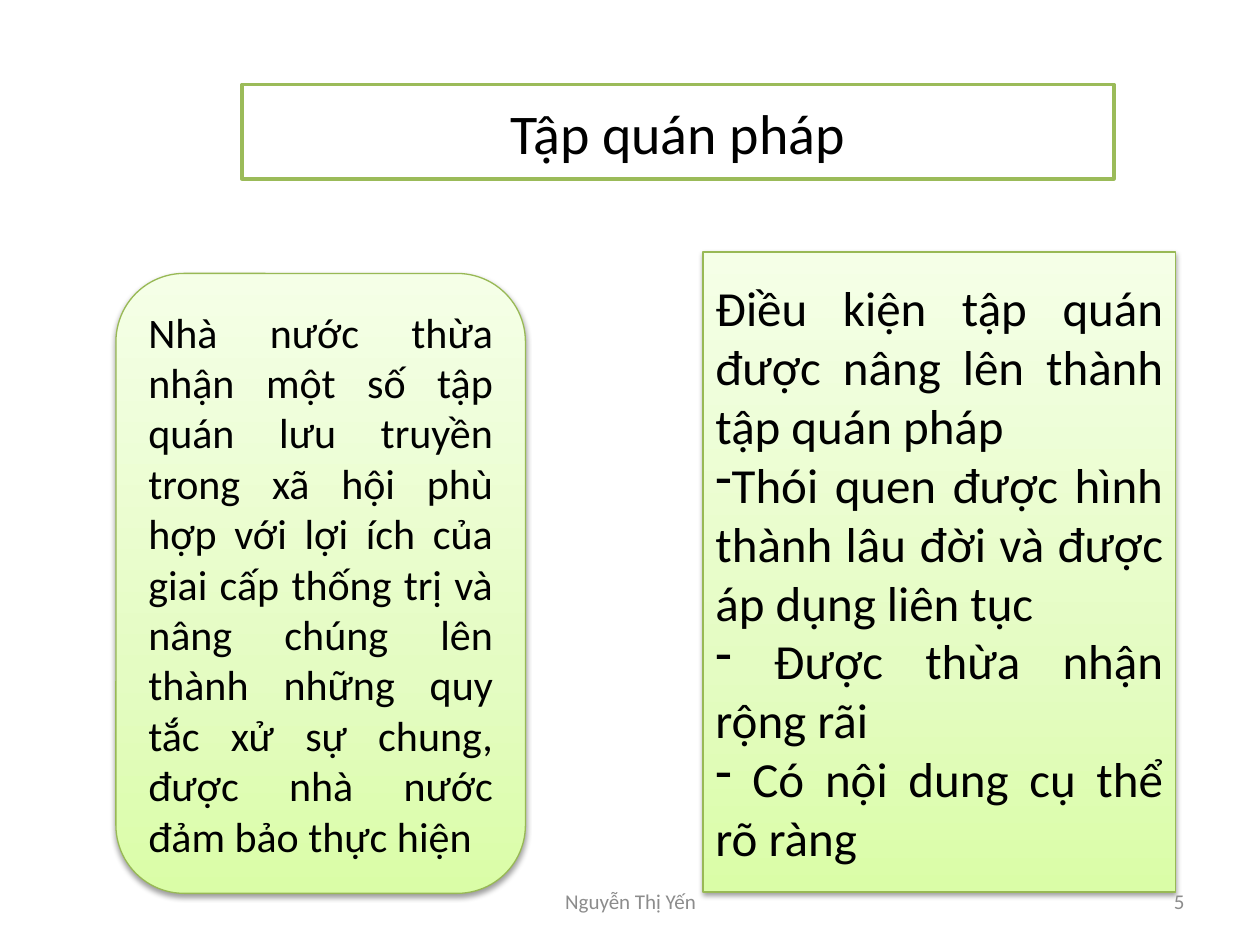
import pptx
import pptx.util
import pptx.dml.color
import pptx.enum.shapes
import pptx.enum.text
import pptx.oxml.ns
from dataclasses import dataclass
from lxml import etree

Inches = pptx.util.Inches
Pt = pptx.util.Pt
RGB = pptx.dml.color.RGBColor.from_string
qn = pptx.oxml.ns.qn
Shape = pptx.enum.shapes.MSO_SHAPE
Align = pptx.enum.text.PP_ALIGN


@dataclass(frozen=True)
class Theme:
    font: str = "Calibri"
    text: str = "000000"
    muted: str = "8C8C8C"
    paper: str = "FFFFFF"
    title_line: str = "9BBB59"
    panel_line: str = "98B955"
    gradient: tuple = ((0, "DAFDA7"), (35, "E4FCC2"), (100, "F5FFE7"))
    title_size: int = 32
    conditions_size: int = 28
    definition_size: int = 24
    footer_size: int = 12


theme = Theme()


def write_text(shape, lines, size, align, color=theme.text):
    """Fill the shape with paragraphs; a leading "-" becomes a bullet."""
    frame = shape.text_frame
    frame.word_wrap = True
    frame.vertical_anchor = pptx.enum.text.MSO_ANCHOR.MIDDLE
    for index, line in enumerate(lines):
        para = frame.add_paragraph() if index else frame.paragraphs[0]
        para.text = line.removeprefix("-")
        para.alignment = align
        if line.startswith("-"):
            properties = para._p.get_or_add_pPr()
            etree.SubElement(properties, qn("a:buFontTx"))
            etree.SubElement(properties, qn("a:buChar"), char="-")
        for span in para.runs:
            span.font.name = theme.font
            span.font.size = Pt(size)
            span.font.color.rgb = RGB(color)


def style_panel(panel):
    """Give the panel a green gradient, a thin outline and a soft shadow."""
    panel.fill.gradient()
    panel.fill.gradient_angle = 90
    stops = panel._element.spPr.find(".//" + qn("a:gsLst"))
    for stop in list(stops):
        stops.remove(stop)
    for percent, color in theme.gradient:
        stop = etree.SubElement(stops, qn("a:gs"), pos=str(percent * 1000))
        etree.SubElement(stop, qn("a:srgbClr"), val=color)
    panel.line.color.rgb = RGB(theme.panel_line)
    panel.line.width = Pt(0.75)
    panel.shadow.inherit = False
    effects = panel._element.spPr.find(qn("a:effectLst"))
    shadow = etree.SubElement(
        effects, qn("a:outerShdw"), blurRad=str(Pt(3.1)), dist=str(Pt(1.6)),
        dir="5400000", rotWithShape="0")
    shade = etree.SubElement(shadow, qn("a:srgbClr"), val="000000")
    etree.SubElement(shade, qn("a:alpha"), val="38000")


deck = pptx.Presentation()
deck.slide_width, deck.slide_height = Inches(10), Inches(7.5)
page = deck.slides.add_slide(deck.slide_layouts[6])

title = page.shapes.add_shape(
    Shape.RECTANGLE, Inches(1.92), Inches(0.67), Inches(6.92), Inches(0.75))
title.fill.solid()
title.fill.fore_color.rgb = RGB(theme.paper)
title.line.color.rgb = RGB(theme.title_line)
title.line.width = Pt(2)
title.shadow.inherit = False
write_text(title, ["Tập quán pháp"], theme.title_size, Align.CENTER)

definition = [
    "Nhà nước thừa nhận một số tập quán lưu truyền trong xã hội phù hợp với "
    "lợi ích của giai cấp thống trị và nâng chúng lên thành những quy tắc xử "
    "sự chung, được nhà nước đảm bảo thực hiện",
]
conditions = [
    "Điều kiện tập quán được nâng lên thành tập quán pháp",
    "-Thói quen được hình thành lâu đời và được áp dụng liên tục",
    "- Được thừa nhận rộng rãi",
    "- Có nội dung cụ thể rõ ràng",
]
panels = [
    (Shape.ROUNDED_RECTANGLE, (0.92, 2.17, 3.25, 4.92), definition, theme.definition_size),
    (Shape.RECTANGLE, (5.58, 2, 3.75, 5.08), conditions, theme.conditions_size),
]
for kind, place, lines, size in panels:
    panel = page.shapes.add_shape(kind, *map(Inches, place))
    style_panel(panel)
    write_text(panel, lines, size, Align.JUSTIFY)

footers = [
    ("5", 7.17, 2.33, Align.RIGHT),
    ("Nguyễn Thị Yến", 3.42, 3.17, Align.CENTER),
]
for text, left, width, align in footers:
    box = page.shapes.add_textbox(Inches(left), Inches(6.95), Inches(width), Inches(0.4))
    write_text(box, [text], theme.footer_size, align, theme.muted)

deck.save("out.pptx")
